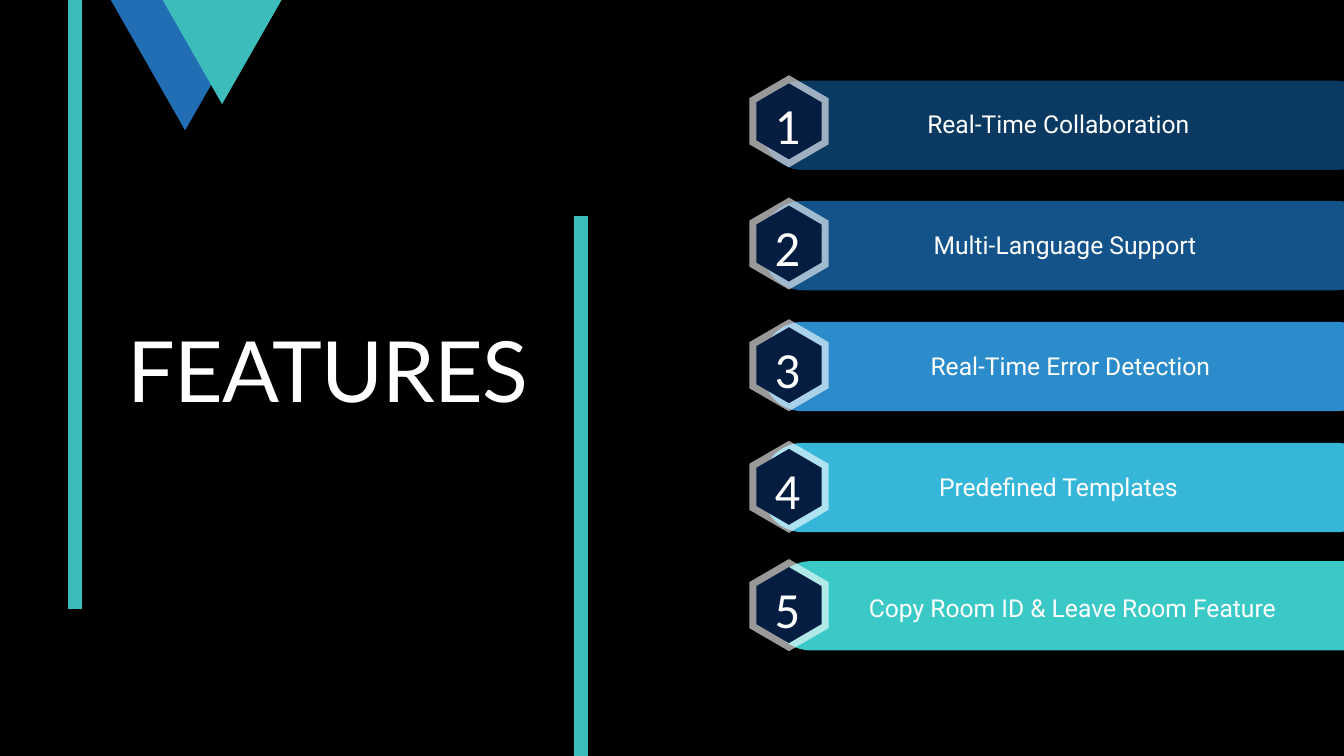
"""Build the features slide with five numbered bars."""
import dataclasses

import lxml.etree
import pptx
import pptx.dml.color
import pptx.enum.shapes
import pptx.enum.text
import pptx.oxml.ns
import pptx.util

Inches = pptx.util.Inches
Shape = pptx.enum.shapes.MSO_SHAPE


@dataclasses.dataclass(frozen=True)
class Theme:
    background: str = "000000"
    text: str = "FFFFFF"
    teal: str = "3CBDBB"
    blue: str = "226EB4"
    navy: str = "051D40"
    rim: str = "FFFFFF"
    rim_opacity: int = 60
    bars: tuple = ("0A3962", "13538A", "2C8CCB", "36B7DA", "3AC9C7")
    title: tuple = ("Lato", 90.4, 99.4)
    number: tuple = ("Calibri", 54.2, 81.3)
    label: tuple = ("Roboto", 26.4, 39.6)
    rule_width: float = 15


def rgb(value):
    return pptx.dml.color.RGBColor.from_string(value)


def apply(target, values):
    for name, value in values.items():
        setattr(target, name, value)


class SlideBuilder:
    def __init__(self, slide, theme):
        self.slide = slide
        self.theme = theme
        fill = slide.background.fill
        fill.solid()
        fill.fore_color.rgb = rgb(theme.background)

    def paint(self, shape, color, opacity=100):
        shape.shadow.inherit = False
        shape.fill.solid()
        shape.fill.fore_color.rgb = rgb(color)
        shape.line.fill.background()
        if opacity < 100:
            tag = pptx.oxml.ns.qn("a:srgbClr")
            element = next(shape._element.spPr.iter(tag))
            alpha = lxml.etree.SubElement(element, pptx.oxml.ns.qn("a:alpha"))
            alpha.set("val", str(opacity * 1000))

    def preset(self, kind, left, top, width, height, color):
        shape = self.slide.shapes.add_shape(
            kind, Inches(left), Inches(top), Inches(width), Inches(height))
        self.paint(shape, color)
        return shape

    def bar(self, left, top, color):
        shape = self.preset(Shape.ROUNDED_RECTANGLE, left, top, 9.14, 1.33, color)
        shape.adjustments[0] = 0.45

    def hexagon(self, center, middle, width, height, color, opacity=100):
        corners = [(0, -0.5), (0.5, -0.25), (0.5, 0.25),
                   (0, 0.5), (-0.5, 0.25), (-0.5, -0.25)]
        points = [(Inches(center + x * width), Inches(middle + y * height))
                  for x, y in corners]
        builder = self.slide.shapes.build_freeform(*points[0])
        builder.add_line_segments(points[1:], close=True)
        self.paint(builder.convert_to_shape(), color, opacity)

    def rule(self, x, top, bottom):
        connector = self.slide.shapes.add_connector(
            pptx.enum.shapes.MSO_CONNECTOR.STRAIGHT,
            Inches(x), Inches(top), Inches(x), Inches(bottom))
        connector.line.color.rgb = rgb(self.theme.teal)
        connector.line.width = pptx.util.Pt(self.theme.rule_width)
        lxml.etree.SubElement(connector._element.spPr, pptx.oxml.ns.qn("a:effectLst"))

    def set_text(self, shape, text, style):
        font, size, spacing = style
        frame = shape.text_frame
        apply(frame, {
            "margin_left": 0, "margin_top": 0, "margin_right": 0, "margin_bottom": 0,
            "word_wrap": True,
            "vertical_anchor": pptx.enum.text.MSO_ANCHOR.TOP,
            "auto_size": pptx.enum.text.MSO_AUTO_SIZE.SHAPE_TO_FIT_TEXT,
        })
        paragraph = frame.paragraphs[0]
        apply(paragraph, {"alignment": pptx.enum.text.PP_ALIGN.CENTER,
                          "line_spacing": pptx.util.Pt(spacing)})
        run = paragraph.add_run()
        run.text = text
        apply(run.font, {"name": font, "size": pptx.util.Pt(size)})
        run.font.color.rgb = rgb(self.theme.text)
        return run

    def title(self, text, left, top, width, height):
        shape = self.slide.shapes.title
        apply(shape, {"left": Inches(left), "top": Inches(top),
                      "width": Inches(width), "height": Inches(height)})
        run = self.set_text(shape, text, self.theme.title)
        run._r.get_or_add_rPr().set("spc", "-90")

    def text(self, text, center, top, width, height, style):
        shape = self.slide.shapes.add_textbox(
            Inches(center - width / 2), Inches(top), Inches(width), Inches(height))
        self.set_text(shape, text, style)

    def badge(self, number, center, top):
        middle = top + 0.685
        self.hexagon(center, middle, 1.18, 1.37, self.theme.rim, self.theme.rim_opacity)
        self.hexagon(center, middle, 0.97, 1.13, self.theme.navy)
        self.text(str(number), center - 0.02, top + 0.05, 0.6, 1.09, self.theme.number)


def main():
    theme = Theme()
    presentation = pptx.Presentation()
    apply(presentation, {"slide_width": Inches(20), "slide_height": Inches(11.25)})
    slide = presentation.slides.add_slide(presentation.slide_layouts[5])
    builder = SlideBuilder(slide, theme)

    builder.title("FEATURES", 1.62, 4.86, 6.53, 1.42)
    builder.rule(1.12, -1.06, 9.06)
    builder.rule(8.64, 3.22, 13.35)
    builder.preset(Shape.FLOWCHART_MERGE, 1.38, -0.47, 2.75, 2.41, theme.blue)
    builder.preset(Shape.FLOWCHART_MERGE, 1.93, -0.86, 2.75, 2.41, theme.teal)

    features = [
        ("Real-Time Collaboration", 15.75, 11.35, 1.2, 1.12),
        ("Multi-Language Support", 15.85, 11.35, 2.99, 2.94),
        ("Real-Time Error Detection", 15.93, 11.35, 4.79, 4.75),
        ("Predefined Templates", 15.75, 11.35, 6.59, 6.56),
        ("Copy Room ID & Leave Room Feature", 15.96, 11.47, 8.35, 8.32),
    ]
    for index, (label, center, bar_left, bar_top, badge_top) in enumerate(features):
        builder.bar(bar_left, bar_top, theme.bars[index])
        builder.badge(index + 1, 11.74, badge_top)
        builder.text(label, center, 1.51 + 1.8 * index, 6.62, 0.52, theme.label)

    presentation.save("out.pptx")


if __name__ == "__main__":
    main()
